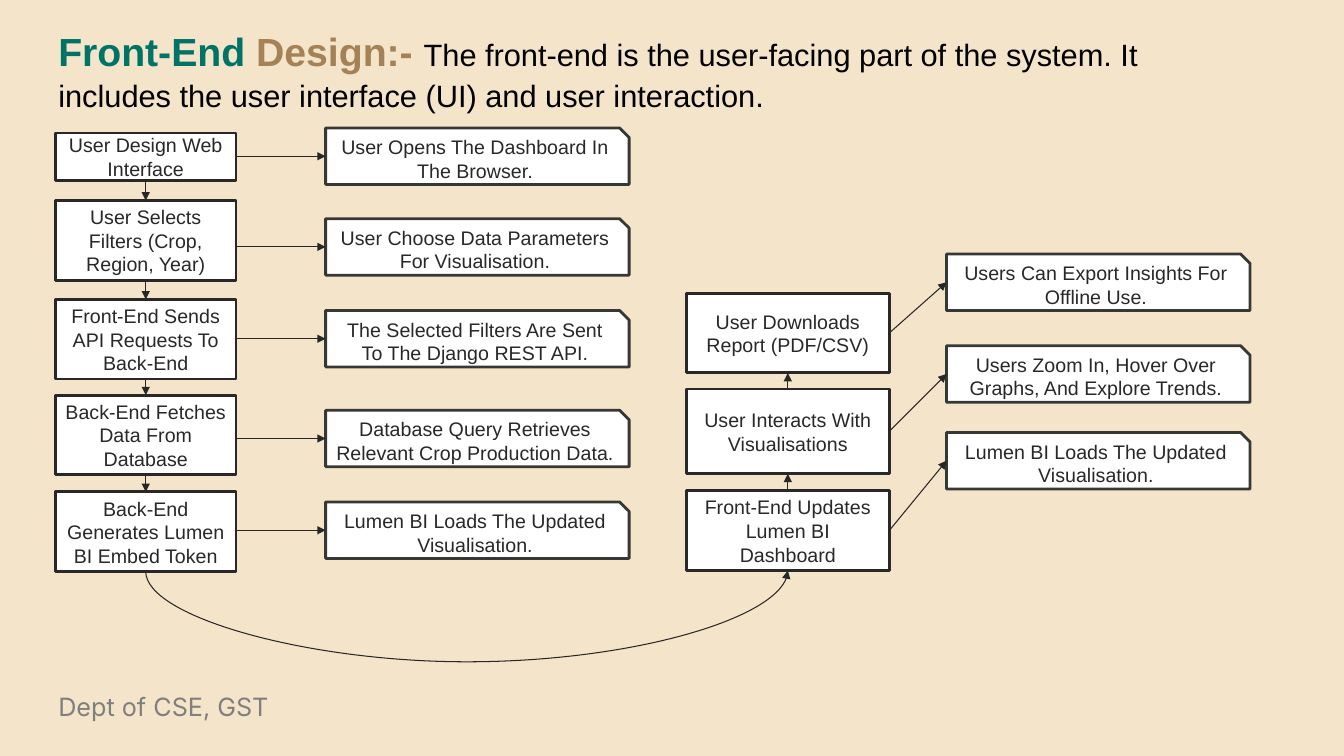
from dataclasses import dataclass
from itertools import pairwise

from lxml.etree import SubElement
from pptx import Presentation
from pptx.dml.color import RGBColor
from pptx.enum.shapes import MSO_CONNECTOR, MSO_SHAPE
from pptx.enum.text import MSO_ANCHOR, MSO_AUTO_SIZE, PP_ALIGN
from pptx.oxml.ns import qn
from pptx.util import Inches, Pt

COLOURS = {
    "background": "F4E4C9", "green": "007367", "brown": "A58255",
    "black": "000000", "grey": "7F7F7F", "white": "FFFFFF",
    "ink": "282828", "note_line": "363836", "arrow": "272727",
}

deck = Presentation()
deck.slide_width, deck.slide_height = Inches(13.33), Inches(7.5)
page = deck.slides.add_slide(deck.slide_layouts[6])
page.background.fill.solid()
page.background.fill.fore_color.rgb = RGBColor.from_string(COLOURS["background"])


# Positions and sizes are percentages of the slide's width and height
@dataclass(frozen=True)
class Box:
    left: float
    top: float
    width: float
    height: float

    @property
    def right(self) -> float:
        return self.left + self.width

    @property
    def bottom(self) -> float:
        return self.top + self.height

    @property
    def center(self) -> float:
        return self.left + self.width / 2

    @property
    def middle(self) -> float:
        return self.top + self.height / 2


@dataclass(frozen=True)
class Step:
    text: str
    top: float
    height: float
    note: str
    note_top: float


@dataclass(frozen=True)
class Flow:
    left: float
    width: float
    note_left: float
    steps: tuple[Step, ...]


@dataclass(frozen=True)
class Span:
    text: str
    size: float
    font: str
    colour: str
    bold: bool = False


NOTE_WIDTH, NOTE_HEIGHT = 22.58, 7.47
STEP_HEIGHT = 10.53

FLOWS = (
    Flow(4.13, 13.43, 24.23, (
        Step("User Design Web Interface", 17.6, 6.27,
             "User Opens The Dashboard In The Browser.", 16.93),
        Step("User Selects Filters (Crop, Region, Year)", 26.53, STEP_HEIGHT,
             "User Choose Data Parameters For Visualisation.", 28.93),
        Step("Front-End Sends API Requests To Back-End", 39.6, STEP_HEIGHT,
             "The Selected Filters Are Sent To The Django REST API.", 41.07),
        Step("Back-End Fetches Data From Database", 52.27, STEP_HEIGHT,
             "Database Query Retrieves Relevant Crop Production Data.", 54.27),
        Step("Back-End Generates Lumen BI Embed Token", 65.07, STEP_HEIGHT,
             "Lumen BI Loads The Updated Visualisation.", 66.4),
    )),
    Flow(51.08, 15.08, 70.43, (
        Step("Front-End Updates Lumen BI Dashboard", 64.93, STEP_HEIGHT,
             "Lumen BI Loads The Updated Visualisation.", 57.2),
        Step("User Interacts With Visualisations", 51.47, 11.2,
             "Users Zoom In, Hover Over Graphs, And Explore Trends.", 45.73),
        Step("User Downloads Report (PDF/CSV)", 38.8, STEP_HEIGHT,
             "Users Can Export Insights For Offline Use.", 33.6),
    )),
)


def across(share: float) -> int:
    return round(deck.slide_width * share / 100)


def down(share: float) -> int:
    return round(deck.slide_height * share / 100)


def place(box: Box) -> tuple[int, int, int, int]:
    return across(box.left), down(box.top), across(box.width), down(box.height)


def draw_text(box: Box, spans: tuple[Span, ...], spacing: float) -> None:
    frame = page.shapes.add_textbox(*place(box)).text_frame
    frame.word_wrap = True
    frame.auto_size = MSO_AUTO_SIZE.SHAPE_TO_FIT_TEXT
    para = frame.paragraphs[0]
    para.line_spacing = spacing
    for span in spans:
        run = para.add_run()
        run.text = span.text
        run.font.name, run.font.size, run.font.bold = span.font, Pt(span.size), span.bold
        run.font.color.rgb = RGBColor.from_string(COLOURS[span.colour])


def draw_box(box: Box, preset: MSO_SHAPE, text: str, outline: str) -> None:
    shape = page.shapes.add_shape(preset, *place(box))
    shape.shadow.inherit = False
    shape.fill.solid()
    shape.fill.fore_color.rgb = RGBColor.from_string(COLOURS["white"])
    shape.line.color.rgb = RGBColor.from_string(COLOURS[outline])
    shape.line.width = Pt(2)
    frame = shape.text_frame
    frame.word_wrap = True
    frame.vertical_anchor = MSO_ANCHOR.MIDDLE
    para = frame.paragraphs[0]
    para.text = text
    para.alignment = PP_ALIGN.CENTER
    para.font.name, para.font.size = "Arial", Pt(14)
    para.font.color.rgb = RGBColor.from_string(COLOURS["ink"])


def draw_arrow(x1: float, y1: float, x2: float, y2: float,
               kind: MSO_CONNECTOR = MSO_CONNECTOR.STRAIGHT):
    arrow = page.shapes.add_connector(kind, across(x1), down(y1), across(x2), down(y2))
    arrow.line.color.rgb = RGBColor.from_string(COLOURS["arrow"])
    arrow.line.width = Pt(0.75)
    SubElement(arrow.line._get_or_add_ln(), qn("a:tailEnd"), type="triangle")
    SubElement(arrow._element.spPr, qn("a:effectLst"))
    return arrow


def draw_return_curve(start: Box, end: Box, depth: float) -> None:
    """Hang a curve below two boxes: a connector turned by 90 degrees."""
    curve = draw_arrow(start.center, start.bottom, end.center, end.bottom,
                       MSO_CONNECTOR.CURVE)
    length = across(end.center - start.center)
    thickness = down(start.bottom - end.bottom)
    curve.left = across((start.center + end.center) / 2) - thickness // 2
    curve.top = down((start.bottom + end.bottom) / 2) - length // 2
    curve.width, curve.height = thickness, length
    properties = curve._element.spPr
    frame = properties.find(qn("a:xfrm"))
    for name, value in (("rot", "5400000"), ("flipH", "1"), ("flipV", "1")):
        frame.set(name, value)
    guides = properties.find(qn("a:prstGeom")).get_or_add_avLst()
    bend = round(-100000 * down(depth) / thickness)
    SubElement(guides, qn("a:gd"), name="adj1", fmla=f"val {bend}")


def draw_flow(flow: Flow) -> list[Box]:
    boxes = [Box(flow.left, step.top, flow.width, step.height) for step in flow.steps]
    for step, box in zip(flow.steps, boxes):
        note = Box(flow.note_left, step.note_top, NOTE_WIDTH, NOTE_HEIGHT)
        draw_box(box, MSO_SHAPE.FLOWCHART_PROCESS, step.text, "ink")
        draw_box(note, MSO_SHAPE.SNIP_1_RECTANGLE, step.note, "note_line")
        # A note beside its step gets a level arrow
        level = box.top < note.middle < box.bottom
        draw_arrow(box.right, note.middle if level else box.middle, note.left, note.middle)
    for box, following in pairwise(boxes):
        if following.top > box.top:
            draw_arrow(box.center, box.bottom, following.center, following.top)
        else:
            draw_arrow(box.center, box.top, following.center, following.bottom)
    return boxes


# Heading and footer
draw_text(Box(3.6, 2.53, 86.65, 13.07), (
    Span("Front-End", 28, "Arial", "green", True),
    Span(" Design:- ", 28, "Arial", "brown", True),
    Span("The front-end is the user-facing part of the system. It includes "
         "the user interface (UI) and user interaction.", 22, "Arial", "black"),
), 1.07)
draw_text(Box(3.6, 90.8, 39.31, 5.33), (Span("Dept of CSE, GST", 18, "Inter", "grey"),), 1.0)

# Two flows, joined by the curve below them
first_boxes, second_boxes = map(draw_flow, FLOWS)
draw_return_curve(first_boxes[-1], second_boxes[0], 11.8)

deck.save("out.pptx")
